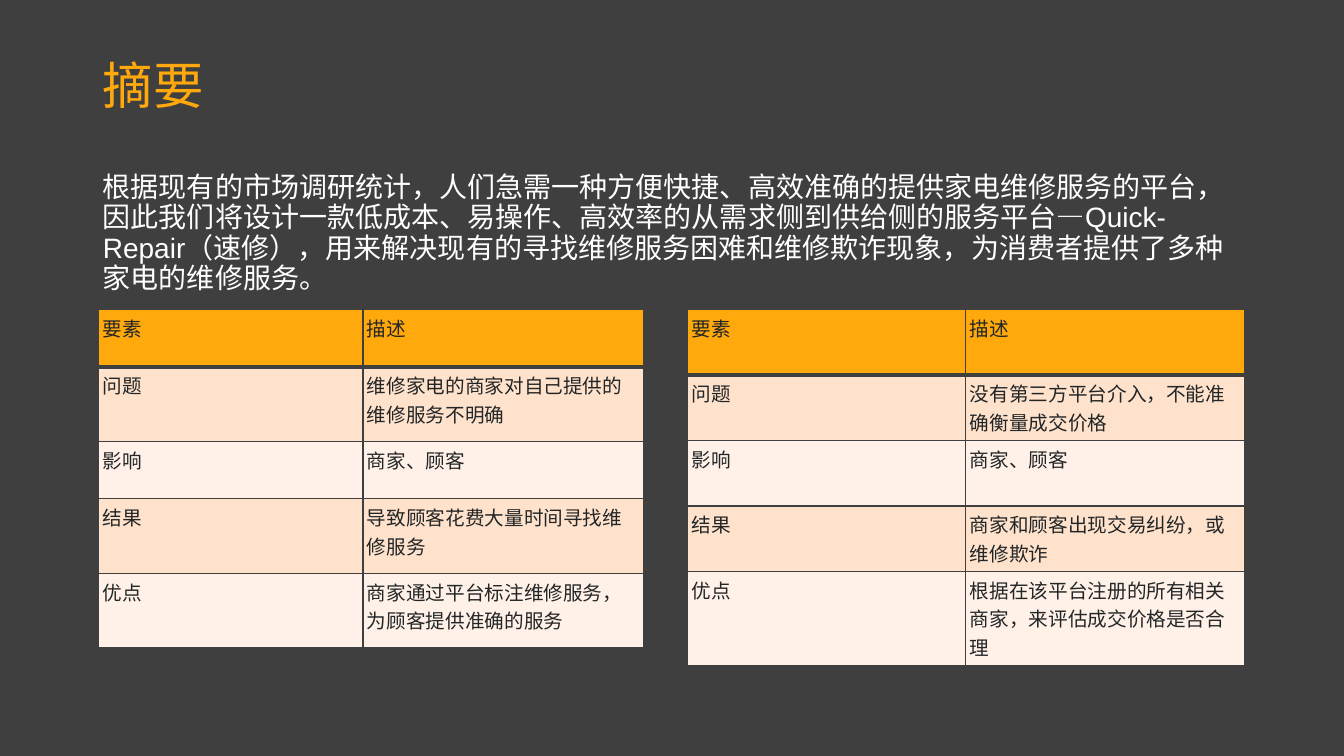
from dataclasses import dataclass

from lxml.etree import SubElement
from pptx import Presentation
from pptx.dml.color import RGBColor
from pptx.enum.lang import MSO_LANGUAGE_ID as Language
from pptx.enum.text import MSO_ANCHOR as Anchor, MSO_AUTO_SIZE as AutoSize, PP_ALIGN as Align
from pptx.oxml import parse_xml
from pptx.oxml.ns import nsdecls, qn
from pptx.util import Inches, Pt

CHARCOAL = RGBColor(0x3F, 0x3F, 0x3F)
AMBER = RGBColor(0xFF, 0xA9, 0x0D)
WHITE = RGBColor(0xFF, 0xFF, 0xFF)
INK = RGBColor(0x23, 0x26, 0x27)
PEACH = RGBColor(0xFF, 0xE2, 0xCC)
CREAM = RGBColor(0xFF, 0xF1, 0xE7)

TEXT_FONT = "Arial"
TABLE_FONT = "Noto Sans CJK SC"
LABELS = ("要素", "问题", "影响", "结果", "优点")
TABLE_TOP = 3.07
CELL_MARGIN = 0.04

SUMMARY = (
    "根据现有的市场调研统计，人们急需一种方便快捷、高效准确的提供家电维修服务的平台，"
    "因此我们将设计一款低成本、易操作、高效率的从需求侧到供给侧的服务平台—Quick-Repair（速修），"
    "用来解决现有的寻找维修服务困难和维修欺诈现象，为消费者提供了多种家电的维修服务。"
)


@dataclass(frozen=True)
class TextBlock:
    top: float
    height: float
    text: str
    size: int
    color: RGBColor
    anchor: Anchor
    space_before: int


@dataclass(frozen=True)
class ProblemTable:
    left: float
    columns: tuple[float, ...]
    rows: tuple[float, ...]
    descriptions: tuple[str, ...]


TITLE = TextBlock(0.4, 0.94, "摘要", 36, AMBER, Anchor.MIDDLE, 0)
BODY = TextBlock(1.67, 1.41, SUMMARY, 20, WHITE, Anchor.TOP, 10)
TABLES = (
    ProblemTable(
        0.98, (2.62, 2.78), (0.57, 0.74, 0.57, 0.74, 0.74),
        ("描述", "维修家电的商家对自己提供的维修服务不明确", "商家、顾客",
         "导致顾客花费大量时间寻找维修服务", "商家通过平台标注维修服务，为顾客提供准确的服务"),
    ),
    ProblemTable(
        6.82, (2.76, 2.76), (0.65, 0.65, 0.65, 0.65, 0.78),
        ("描述", "没有第三方平台介入，不能准确衡量成交价格", "商家、顾客",
         "商家和顾客出现交易纠纷，或维修欺诈", "根据在该平台注册的所有相关商家，来评估成交价格是否合理"),
    ),
)


def apply_format(target, values: dict) -> None:
    for name, value in values.items():
        setattr(target, name, value)


def write_span(para, text: str, size: int, font: str, color: RGBColor):
    span = para.add_run()
    span.text = text
    apply_format(span.font, {
        "size": Pt(size), "name": font, "bold": False,
        "language_id": Language.SIMPLIFIED_CHINESE,
    })
    span.font.color.rgb = color
    return span


def fill_placeholder(box, block: TextBlock) -> None:
    apply_format(box, {
        "left": Inches(0.92), "top": Inches(block.top),
        "width": Inches(11.5), "height": Inches(block.height),
    })
    frame = box.text_frame
    apply_format(frame, {
        "word_wrap": True, "auto_size": AutoSize.NONE, "vertical_anchor": block.anchor,
    })
    para = frame.paragraphs[0]
    apply_format(para, {
        "alignment": Align.LEFT, "line_spacing": 0.9,
        "space_before": Pt(block.space_before),
    })
    write_span(para, block.text, block.size, TEXT_FONT, block.color)
    properties = para._p.get_or_add_pPr()
    properties.set("marL", "0")
    properties.set("indent", "0")
    SubElement(properties, qn("a:buNone"))


def draw_borders(cell, widths: dict[str, int]) -> None:
    properties = cell._tc.get_or_add_tcPr()
    for position, (side, width) in enumerate(widths.items()):
        properties.insert(position, parse_xml(
            f'<a:ln{side} {nsdecls("a")} w="{Pt(width)}"><a:solidFill>'
            f'<a:srgbClr val="{CHARCOAL}"/></a:solidFill></a:ln{side}>'
        ))


def write_cell(cell, text: str, row: int) -> None:
    margin = Inches(CELL_MARGIN)
    apply_format(cell, {
        "margin_left": margin, "margin_right": margin,
        "margin_top": margin, "margin_bottom": margin,
    })
    cell.fill.solid()
    cell.fill.fore_color.rgb = AMBER if row == 0 else (CREAM, PEACH)[row % 2]
    span = write_span(cell.text_frame.paragraphs[0], text, 14, TABLE_FONT, INK)
    SubElement(span.font._element, qn("a:ea")).set("typeface", TABLE_FONT)
    draw_borders(cell, {
        "L": 1, "R": 1, "T": 3 if row == 1 else 1, "B": 3 if row == 0 else 1,
    })


def draw_table(page, table: ProblemTable) -> None:
    grid = page.shapes.add_table(
        len(table.rows), len(table.columns), Inches(table.left), Inches(TABLE_TOP),
        Inches(sum(table.columns)), Inches(sum(table.rows)),
    ).table
    for column, width in zip(grid.columns, table.columns):
        column.width = Inches(width)
    for row, height in zip(grid.rows, table.rows):
        row.height = Inches(height)
    for row, texts in enumerate(zip(LABELS, table.descriptions)):
        for column, text in enumerate(texts):
            write_cell(grid.cell(row, column), text, row)


def main() -> None:
    deck = Presentation()
    apply_format(deck, {"slide_width": Inches(13.33), "slide_height": Inches(7.5)})
    page = deck.slides.add_slide(deck.slide_layouts[1])
    page.background.fill.solid()
    page.background.fill.fore_color.rgb = CHARCOAL
    fill_placeholder(page.shapes.title, TITLE)
    fill_placeholder(page.placeholders[1], BODY)
    for table in TABLES:
        draw_table(page, table)
    deck.save("out.pptx")


if __name__ == "__main__":
    main()
